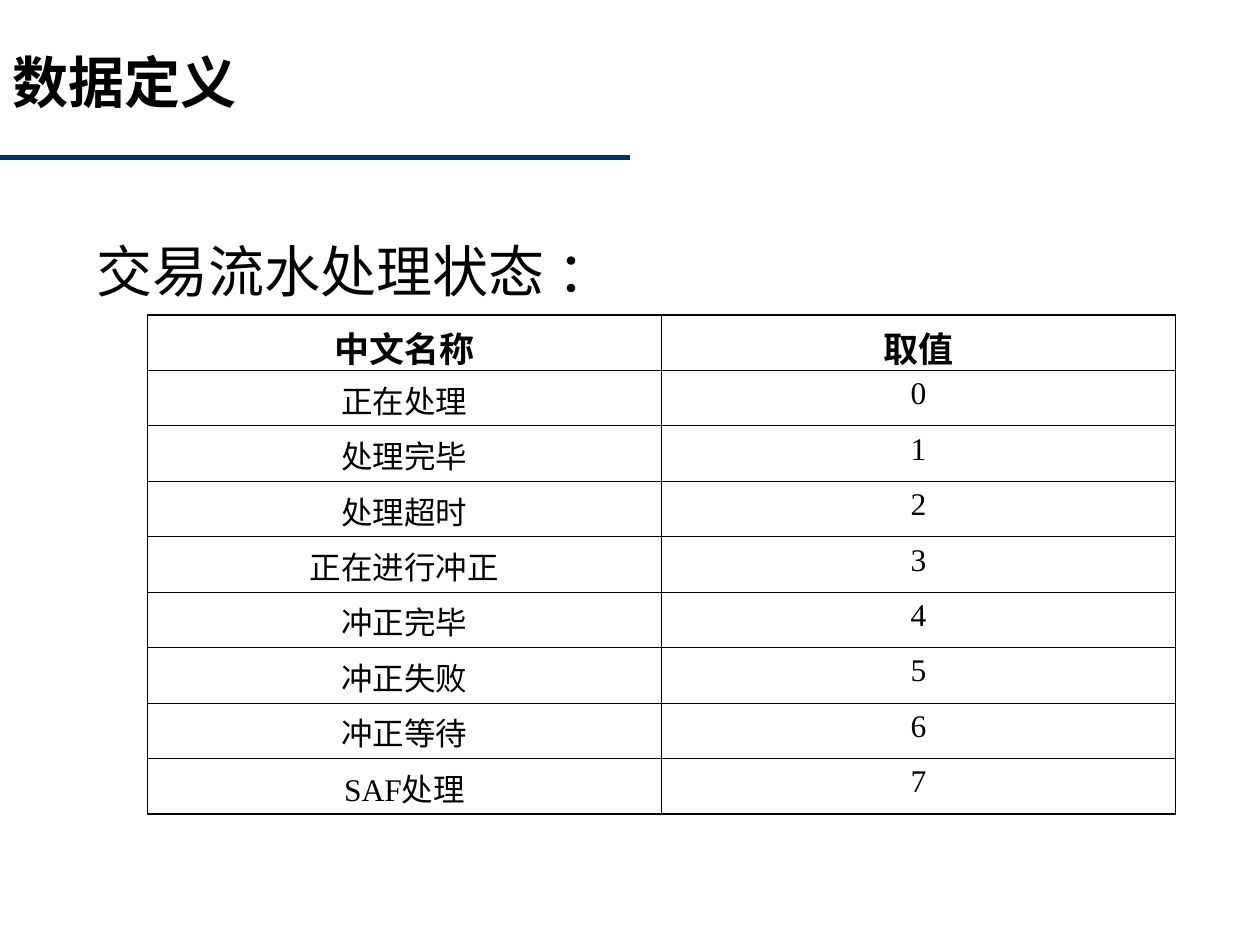
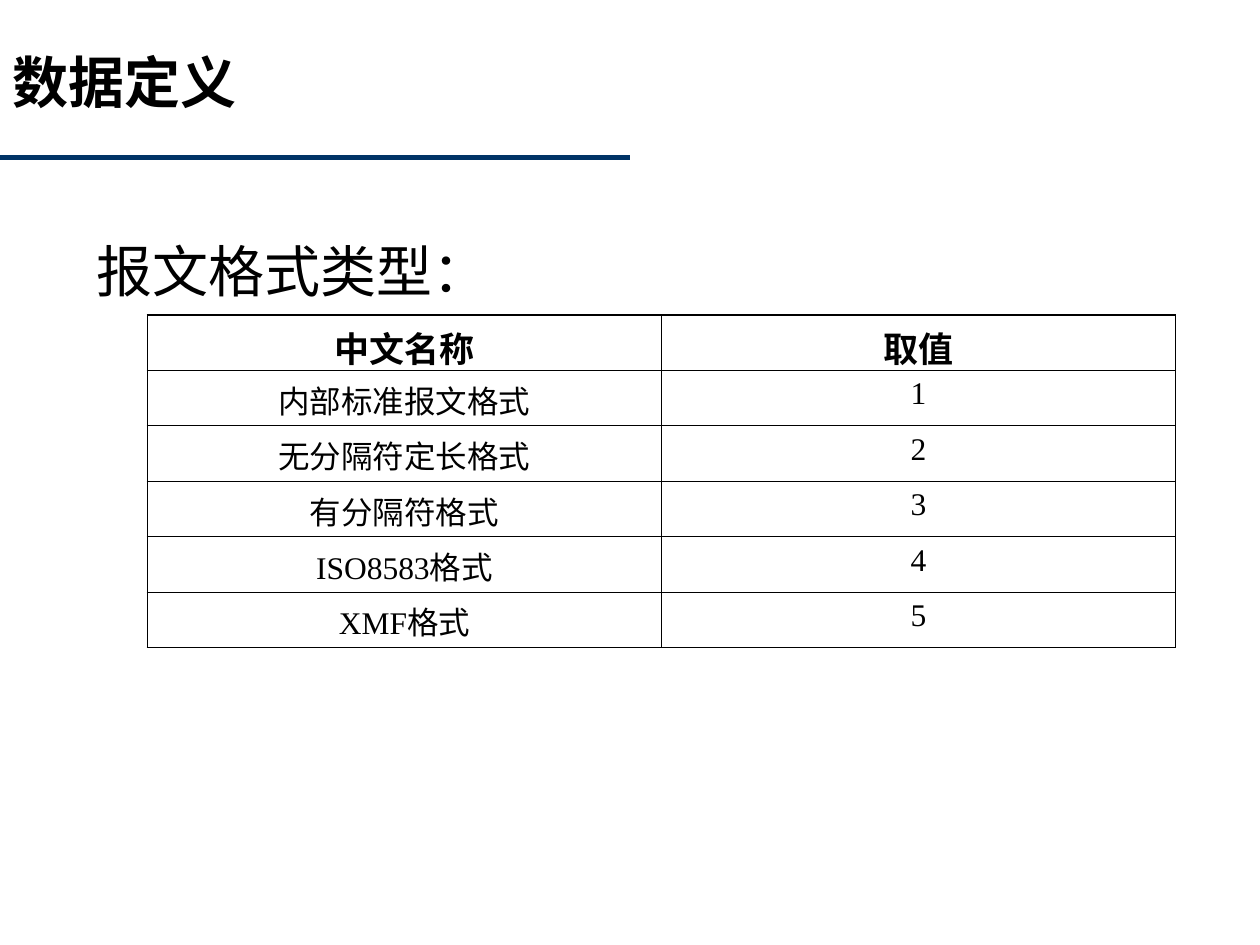
from lxml import etree
from pptx import Presentation
from pptx.dml.color import RGBColor
from pptx.enum.shapes import MSO_CONNECTOR
from pptx.enum.text import MSO_ANCHOR, PP_ALIGN
from pptx.oxml.ns import qn
from pptx.util import Inches, Pt

STRAIGHT = MSO_CONNECTOR.STRAIGHT
TOP = MSO_ANCHOR.TOP
LEFT, CENTER, JUSTIFY = PP_ALIGN.LEFT, PP_ALIGN.CENTER, PP_ALIGN.JUSTIFY

COLORS = {"text": "000000", "rule": "003366", "border": "000000"}
CJK_FONT = "Noto Sans CJK SC"
LATIN_FONT = "Times New Roman"
OUTER_BORDER, INNER_BORDER = 1.08, 0.45
COLUMN_WIDTH, ROW_HEIGHT = 4.08, 0.44

TITLE = "数据定义"
HEADER = ("中文名称", "取值")
STATES_HEADING = "交易流水处理状态 ："
STATES = ["正在处理", "处理完毕", "处理超时", "正在进行冲正",
          "冲正完毕", "冲正失败", "冲正等待", "SAF处理"]
FORMATS_HEADING = "报文格式类型："
FORMATS = ["内部标准报文格式", "无分隔符定长格式", "有分隔符格式",
           "ISO8583格式", "XMF格式"]


def add_run(paragraph, text, size, font=LATIN_FONT, bold=False):
    run = paragraph.add_run()
    run.text = text
    run.font.size = Pt(size)
    run.font.bold = bold
    run.font.name = font
    run.font.color.rgb = RGBColor.from_string(COLORS["text"])
    # East Asian characters take their own typeface
    east_asian = etree.SubElement(run.font._element, qn("a:ea"))
    east_asian.set("typeface", CJK_FONT)


def add_text(slide, left, top, width, height, text, align=LEFT,
             margin=0, indent=0, **run_style):
    box = slide.shapes.add_textbox(Inches(left), Inches(top), Inches(width), Inches(height))
    frame = box.text_frame
    frame.word_wrap = True
    frame.vertical_anchor = TOP
    paragraph = frame.paragraphs[0]
    paragraph.alignment = align
    properties = paragraph._p.get_or_add_pPr()
    properties.set("marL", str(Inches(margin)))
    properties.set("indent", str(Inches(indent)))
    add_run(paragraph, text, 32, **run_style)


def add_title_rule(slide):
    rule = slide.shapes.add_connector(STRAIGHT, 0, Inches(1.25), Inches(5), Inches(1.25))
    rule.line.width = Pt(3)
    rule.line.color.rgb = RGBColor.from_string(COLORS["rule"])
    etree.SubElement(rule._element.spPr, qn("a:effectLst"))


def set_borders(cell, outer_sides):
    properties = cell._tc.get_or_add_tcPr()
    for side in "LRTB":
        width = OUTER_BORDER if side in outer_sides else INNER_BORDER
        line = etree.SubElement(properties, qn(f"a:ln{side}"), w=str(Pt(width)))
        fill = etree.SubElement(line, qn("a:solidFill"))
        etree.SubElement(fill, qn("a:srgbClr"), val=COLORS["border"])


def add_value_table(slide, names, first_value):
    """Table of names numbered upwards from first_value."""
    rows = [HEADER] + [(name, str(value)) for value, name in enumerate(names, first_value)]
    frame = slide.shapes.add_table(len(rows), 2, Inches(1.17), Inches(2.5),
                                   Inches(2 * COLUMN_WIDTH), Inches(len(rows) * ROW_HEIGHT))
    table = frame.table
    table.first_row = table.horz_banding = False
    for row_index, row in enumerate(rows):
        table.rows[row_index].height = Inches(ROW_HEIGHT)
        is_header = row_index == 0
        edge = "T" if is_header else "B" if row_index == len(rows) - 1 else ""
        for column_index, text in enumerate(row):
            cell = table.cell(row_index, column_index)
            set_borders(cell, edge + "LR"[column_index])
            cell.fill.background()
            cell.vertical_anchor = TOP
            paragraph = cell.text_frame.paragraphs[0]
            paragraph.alignment = CENTER
            add_run(paragraph, text, 20 if is_header else 18, bold=is_header)


def add_definition_slide(presentation, heading, names, first_value):
    slide = presentation.slides.add_slide(presentation.slide_layouts[6])
    add_title_rule(slide)
    add_text(slide, -0.5, 0.33, 8.08, 1.25, TITLE, margin=0.5, font=CJK_FONT, bold=True)
    add_text(slide, 0.67, 1.83, 8.92, 0.67, heading, JUSTIFY, margin=0.38, indent=-0.38)
    add_value_table(slide, names, first_value)


def main():
    presentation = Presentation()
    presentation.slide_width = Inches(10)
    presentation.slide_height = Inches(7.5)
    # Processing states of a transaction record
    add_definition_slide(presentation, STATES_HEADING, STATES, 0)
    # Message format types
    add_definition_slide(presentation, FORMATS_HEADING, FORMATS, 1)
    presentation.save("out.pptx")


if __name__ == "__main__":
    main()
